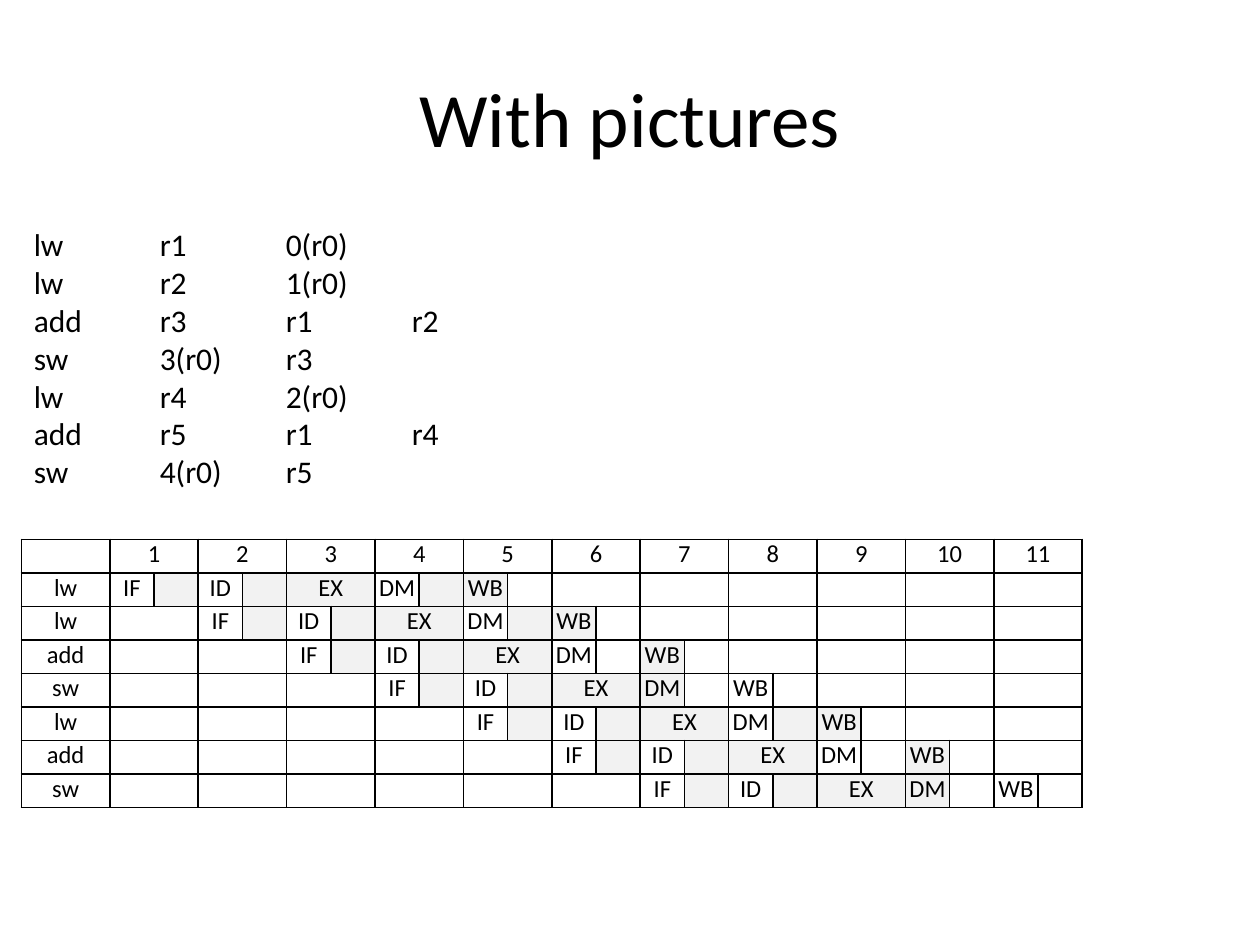
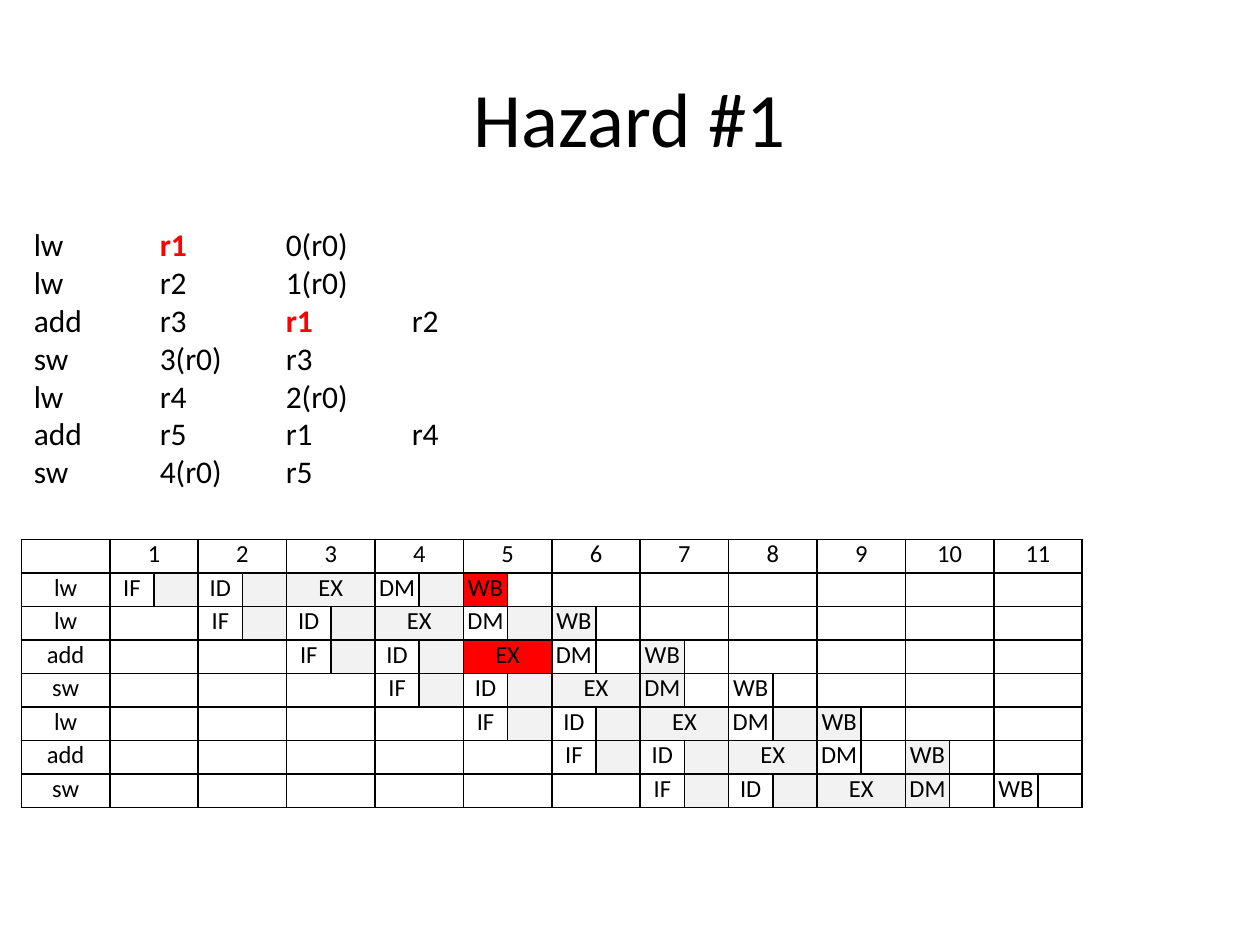
from lxml.etree import SubElement
from pptx import Presentation
from pptx.dml.color import RGBColor
from pptx.enum.text import MSO_ANCHOR, MSO_AUTO_SIZE, PP_ALIGN
from pptx.oxml.ns import qn
from pptx.util import Inches, Pt

# Content: the program, and what each slide highlights in it
PROGRAM = [
    ("lw", "r1", "0(r0)"),
    ("lw", "r2", "1(r0)"),
    ("add", "r3", "r1", "r2"),
    ("sw", "3(r0)", "r3"),
    ("lw", "r4", "2(r0)"),
    ("add", "r5", "r1", "r4"),
    ("sw", "4(r0)", "r5"),
]
SLIDES = [
    {"title": "With pictures", "operands": set(), "stages": set()},
    {"title": "Hazard #1", "operands": {(0, 1), (2, 2)},
     "stages": {(0, "WB"), (2, "EX")}},
]
STAGES = ["IF", "ID", "EX", "DM", "WB"]
CYCLES = 11

# Halves of a cycle that are shaded: (first, second)
SHADED = {"IF": (False, True), "ID": (False, True), "EX": (True, True)}
SHADED_BY_INSTRUCTION = {
    "lw": {"DM": (False, True), "WB": (True, False)},
    "add": {"DM": (False, False), "WB": (True, False)},
    "sw": {"DM": (True, False), "WB": (False, False)},
}

# Shared style
FONT = "Calibri"
COLORS = {"ink": "000000", "busy": "F2F2F2", "hazard": "FF0000"}
LEFT = 0.17
TABLE_TOP, TABLE_WIDTH, TABLE_HEIGHT = 4.28, 8.42, 2.13
CELL_SIZE = 14


def color(name):
    return RGBColor.from_string(COLORS[name])


def add_span(para, text, size, ink="ink", bold=False):
    span = para.add_run()
    span.text = text
    span.font.name = FONT
    span.font.size = Pt(size)
    span.font.bold = bold
    span.font.color.rgb = color(ink)


def add_title(page, text):
    title = page.shapes.title
    title.left, title.top = Inches(0.5), Inches(0.3)
    title.width, title.height = Inches(9), Inches(1.25)
    title.text_frame.vertical_anchor = MSO_ANCHOR.MIDDLE
    para = title.text_frame.paragraphs[0]
    para.alignment = PP_ALIGN.CENTER
    add_span(para, text, 44)


def add_program(page, highlighted):
    box = page.shapes.add_textbox(Inches(LEFT), Inches(1.74), Inches(5), Inches(2.22))
    frame = box.text_frame
    frame.word_wrap = True
    frame.auto_size = MSO_AUTO_SIZE.SHAPE_TO_FIT_TEXT
    for row, words in enumerate(PROGRAM):
        para = frame.add_paragraph() if row else frame.paragraphs[0]
        # One tab stop per inch
        stops = SubElement(para._p.get_or_add_pPr(), qn("a:tabLst"))
        for inch in range(1, 4):
            SubElement(stops, qn("a:tab"), pos=str(Inches(inch)), algn="l")
        for column, word in enumerate(words):
            if column:
                add_span(para, "\t", 18)
            marked = (row, column) in highlighted
            add_span(para, word, 18, "hazard" if marked else "ink", marked)


def format_cell(cell):
    """Give a cell black borders, no margins, no fill and small empty text."""
    cell.margin_left = cell.margin_right = cell.margin_top = cell.margin_bottom = 0
    properties = cell._tc.get_or_add_tcPr()
    for side in ("lnL", "lnR", "lnT", "lnB"):
        line = SubElement(properties, qn(f"a:{side}"), w=str(Pt(1)))
        fill = SubElement(line, qn("a:solidFill"))
        SubElement(fill, qn("a:srgbClr"), val=COLORS["ink"])
    cell.fill.background()
    para = cell.text_frame.paragraphs[0]
    para.alignment = PP_ALIGN.CENTER
    SubElement(para._p, qn("a:endParaRPr"), sz=str(CELL_SIZE * 100))


def write_cell(cell, text):
    add_span(cell.text_frame.paragraphs[0], text, CELL_SIZE)


def shade_cell(cell, name):
    cell.fill.solid()
    cell.fill.fore_color.rgb = color(name)


def add_pipeline(page, highlighted):
    rows, columns = len(PROGRAM) + 1, 1 + 2 * CYCLES
    table = page.shapes.add_table(
        rows, columns, Inches(LEFT), Inches(TABLE_TOP),
        Inches(TABLE_WIDTH), Inches(TABLE_HEIGHT)).table
    table.first_row = table.horz_banding = False
    # The label column is as wide as one whole cycle
    half = TABLE_WIDTH / (columns + 1)
    for index, column in enumerate(table.columns):
        column.width = Inches(half if index else 2 * half)
    for row in table.rows:
        row.height = Inches(TABLE_HEIGHT / rows)
    for cell in table.iter_cells():
        format_cell(cell)

    # Cycle numbers
    for cycle in range(CYCLES):
        first, second = table.cell(0, 1 + 2 * cycle), table.cell(0, 2 + 2 * cycle)
        first.merge(second)
        write_cell(first, str(cycle + 1))

    # Each instruction starts one cycle after the one above it
    for start, (name, *_) in enumerate(PROGRAM):
        write_cell(table.cell(start + 1, 0), name)
        shaded = SHADED | SHADED_BY_INSTRUCTION[name]
        for cycle in range(CYCLES):
            halves = [table.cell(start + 1, 2 * cycle + side) for side in (1, 2)]
            active = 0 <= cycle - start < len(STAGES)
            stage = STAGES[cycle - start] if active else None
            if stage in (None, "EX"):
                halves[0].merge(halves[1])
            if not active:
                continue
            write_cell(halves[0], stage)
            for cell, busy in zip(halves, shaded[stage]):
                if busy:
                    shade_cell(cell, "busy")
            if (start, stage) in highlighted:
                shade_cell(halves[0], "hazard")


def main():
    deck = Presentation()
    deck.slide_width, deck.slide_height = Inches(10), Inches(7.5)
    for content in SLIDES:
        page = deck.slides.add_slide(deck.slide_layouts[5])
        add_title(page, content["title"])
        add_pipeline(page, content["stages"])
        add_program(page, content["operands"])
    deck.save("out.pptx")


if __name__ == "__main__":
    main()
